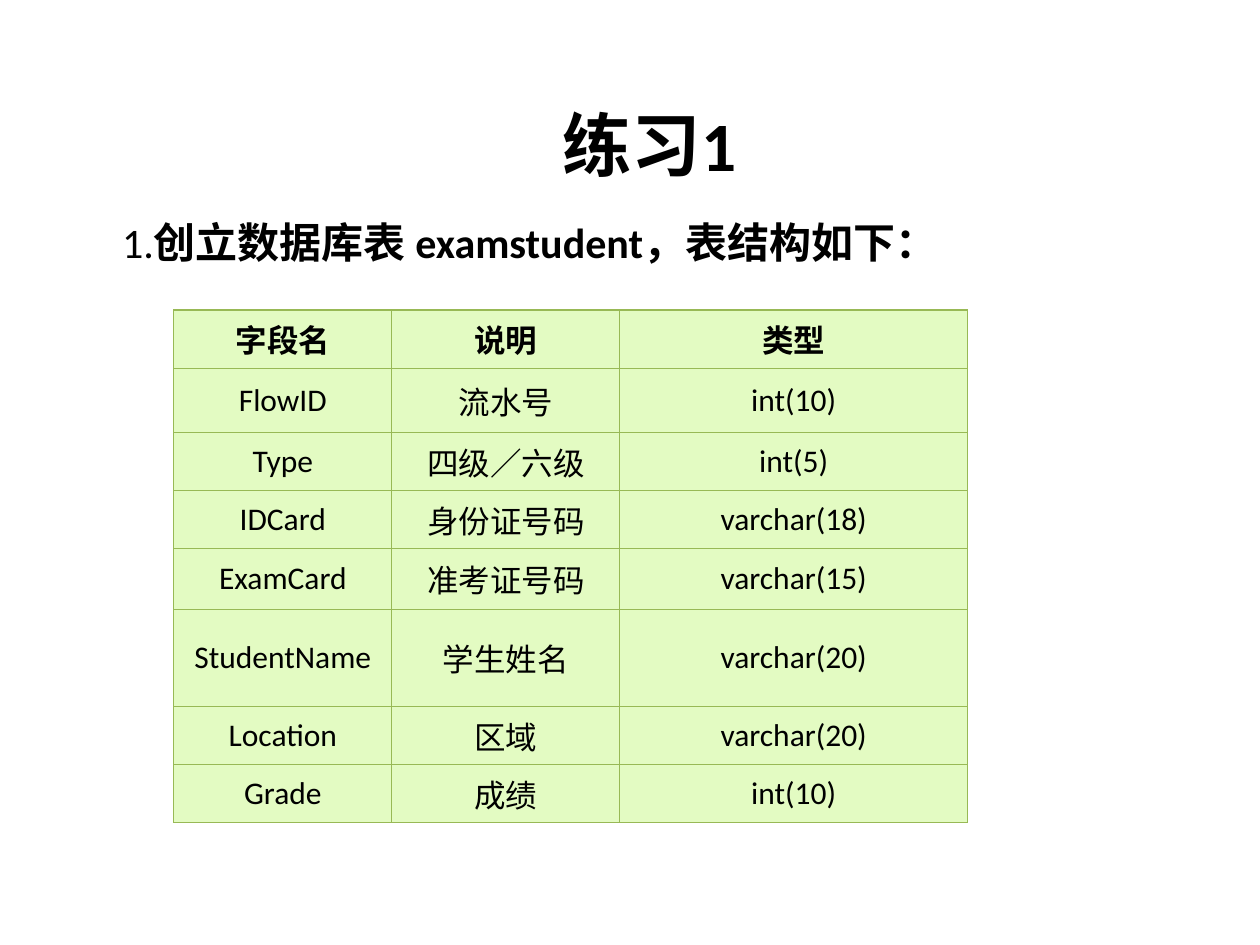
from pptx import Presentation
from pptx.dml.color import RGBColor
from pptx.enum.text import MSO_ANCHOR, PP_ALIGN
from pptx.oxml import parse_xml
from pptx.oxml.ns import nsdecls
from pptx.util import Inches, Pt

MID = MSO_ANCHOR.MIDDLE
CENTER = PP_ALIGN.CENTER
BLACK = RGBColor(0, 0, 0)
LIME = RGBColor(0xE3, 0xFB, 0xC2)
EDGE = RGBColor(0x98, 0xB9, 0x55)
FONT = "Calibri"

TITLE = "练习1"
TASK = [("1.", False), ("创立数据库表 examstudent，表结构如下：", True)]
ROWS = [
    ("字段名", "说明", "类型"),
    ("FlowID", "流水号", "int(10)"),
    ("Type", "四级／六级", "int(5)"),
    ("IDCard", "身份证号码", "varchar(18)"),
    ("ExamCard", "准考证号码", "varchar(15)"),
    ("StudentName", "学生姓名", "varchar(20)"),
    ("Location", "区域", "varchar(20)"),
    ("Grade", "成绩", "int(10)"),
]
WIDTHS = [1.73, 1.81, 2.76]
HEIGHTS = [0.43, 0.51, 0.46, 0.46, 0.48, 0.77, 0.46, 0.46]
HANG = Inches(0.38)


def style(run, size, bold):
    font = run.font
    font.name, font.size, font.bold = FONT, Pt(size), bold
    font.color.rgb = BLACK


def border(cell):
    props = cell._tc.get_or_add_tcPr()
    for spot, side in enumerate(("lnL", "lnR", "lnT", "lnB")):
        props.insert(spot, parse_xml(
            f'<a:{side} {nsdecls("a")} w="{Pt(0.75)}"><a:solidFill>'
            f'<a:srgbClr val="{EDGE}"/></a:solidFill></a:{side}>'))


def fill_cell(cell, text, bold):
    cell.fill.solid()
    cell.fill.fore_color.rgb = LIME
    cell.vertical_anchor = MID
    cell.text = text
    para = cell.text_frame.paragraphs[0]
    para.alignment = CENTER
    props = para._p.get_or_add_pPr()
    props.set("marL", str(HANG))
    props.set("indent", str(-HANG))
    style(para.runs[0], 18, bold)
    border(cell)


def add_title(slide):
    title = slide.shapes.title
    title.left, title.top = Inches(4.29), Inches(0.61)
    title.width, title.height = Inches(1.73), Inches(1.07)
    frame = title.text_frame
    frame.text = TITLE
    frame.word_wrap = False
    frame.vertical_anchor = MID
    para = frame.paragraphs[0]
    para.alignment = CENTER
    style(para.runs[0], 39.6, True)


def add_fields(slide):
    grid = slide.shapes.add_table(
        len(ROWS), len(WIDTHS), Inches(1.38), Inches(2.46),
        Inches(sum(WIDTHS)), Inches(sum(HEIGHTS))).table
    for col, width in zip(grid.columns, WIDTHS):
        col.width = Inches(width)
    for row, height, texts in zip(grid.rows, HEIGHTS, ROWS):
        row.height = Inches(height)
        for cell, text in zip(row.cells, texts):
            fill_cell(cell, text, texts is ROWS[0])


def add_task(slide):
    box = slide.shapes.add_textbox(
        Inches(0.87), Inches(1.67), Inches(7.48), Inches(0.5))
    box.text_frame.word_wrap = True
    para = box.text_frame.paragraphs[0]
    for text, bold in TASK:
        run = para.add_run()
        run.text = text
        style(run, 24, bold)


def main():
    deck = Presentation()
    deck.slide_width, deck.slide_height = Inches(10), Inches(7.5)
    slide = deck.slides.add_slide(deck.slide_layouts[5])
    add_title(slide)
    add_fields(slide)
    add_task(slide)
    deck.save("out.pptx")


if __name__ == "__main__":
    main()
